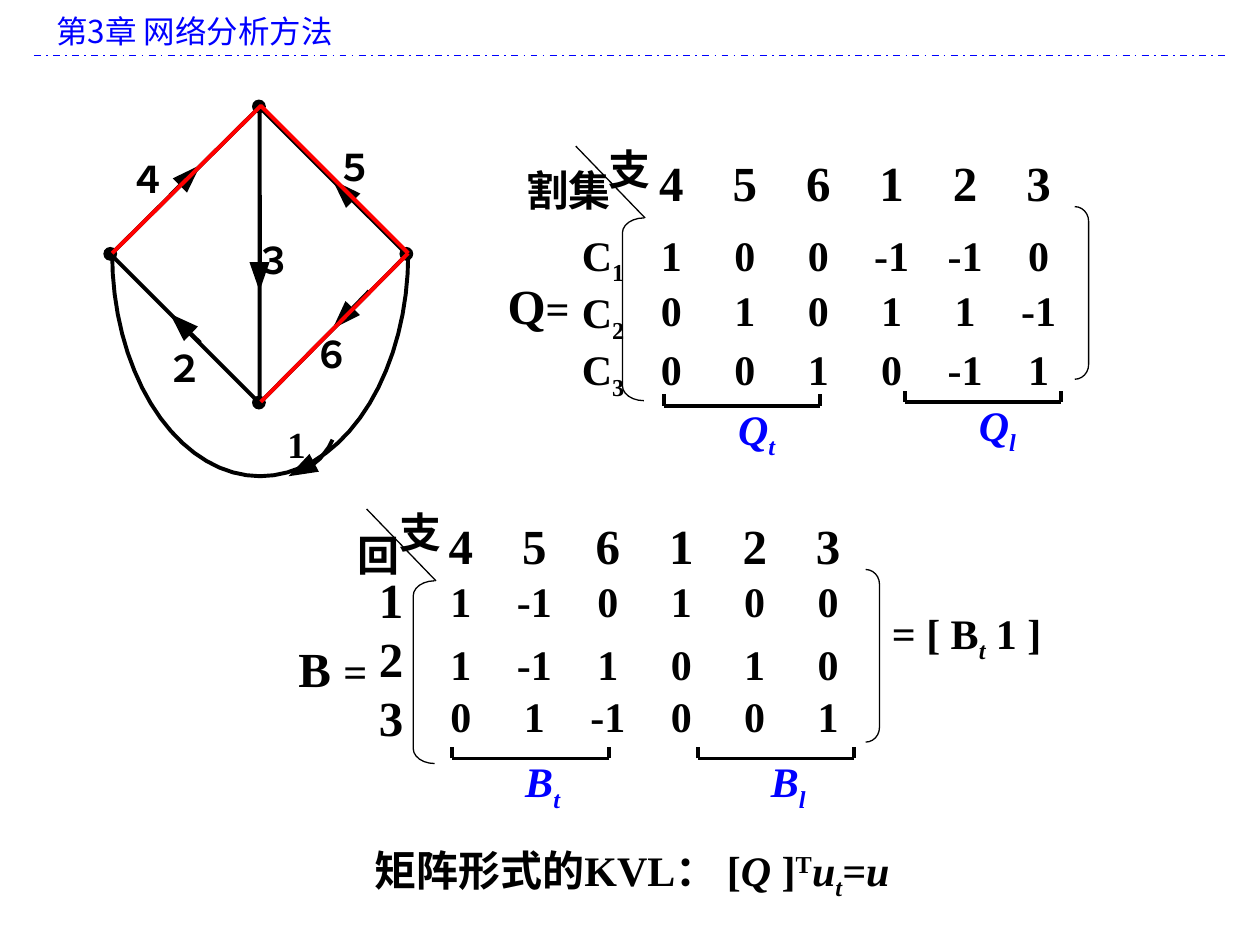
from math import cos, hypot, pi, sin

from lxml.etree import SubElement
from pptx import Presentation
from pptx.dml.color import RGBColor
from pptx.enum.dml import MSO_LINE
from pptx.enum.shapes import MSO_CONNECTOR, MSO_SHAPE
from pptx.enum.text import MSO_ANCHOR, PP_ALIGN
from pptx.oxml.ns import qn
from pptx.util import Inches, Pt

BLACK = RGBColor(0, 0, 0)
BLUE = RGBColor(0, 0, 255)
RED = RGBColor(255, 0, 0)
CJK = "Noto Sans CJK SC"
ITALIC = {"italic": True}
SUB = {"baseline": -25}

prs = Presentation()
prs.slide_width, prs.slide_height = Inches(10), Inches(7.5)
s = prs.slides.add_slide(prs.slide_layouts[6])


def add_text(x, y, w, h, *paras, size=24, font="Times New Roman", color=BLACK,
             bold=True, italic=False, wrap=False, inset=True,
             align=PP_ALIGN.LEFT, anchor=MSO_ANCHOR.TOP, tabs=()):
    """Each paragraph is a string or a list of (text, run format) pairs."""
    tf = s.shapes.add_textbox(Inches(x), Inches(y), Inches(w), Inches(h)).text_frame
    tf.word_wrap, tf.vertical_anchor = wrap, anchor
    if not inset:
        tf.margin_left = tf.margin_right = tf.margin_top = tf.margin_bottom = 0
    for i, runs in enumerate(paras):
        p = tf.add_paragraph() if i else tf.paragraphs[0]
        p.alignment = align
        if tabs:
            tab_list = SubElement(p._p.get_or_add_pPr(), qn("a:tabLst"))
            for pos in tabs:
                SubElement(tab_list, qn("a:tab"), pos=str(Inches(pos)), algn="ctr")
        for text, fmt in [(runs, {})] if isinstance(runs, str) else runs:
            r = p.add_run()
            r.text = text
            r.font.name = font
            r.font.size = Pt(fmt.get("size", size))
            r.font.bold = bold
            r.font.italic = fmt.get("italic", italic)
            r.font.color.rgb = color
            rPr = r._r.get_or_add_rPr()
            SubElement(rPr, qn("a:ea"), typeface=CJK)
            if "baseline" in fmt:
                rPr.set("baseline", str(fmt["baseline"] * 1000))


def add_line(x1, y1, x2, y2, width=2.25, color=BLACK):
    line = s.shapes.add_connector(MSO_CONNECTOR.STRAIGHT, Inches(x1), Inches(y1),
                                  Inches(x2), Inches(y2))
    line.line.color.rgb = color
    line.line.width = Pt(width)
    SubElement(line._element.spPr, qn("a:effectLst"))
    return line


# Header
add_text(0.35, 0.05, 9.37, 0.4, "第3章 网络分析方法", size=18, font=CJK,
         color=BLUE, bold=False, wrap=True)
add_line(0.27, 0.44, 9.72, 0.44, 1, BLUE).line.dash_style = MSO_LINE.DASH_DOT

# Matrices Q and B: corner of the frame, centre of the first column, row tops
BRANCHES = "4 5 6 1 2 3"
matrices = [
    (4.57, 1.16, 5.33, [1.16, 1.77, 2.21, 2.68],
     [BRANCHES, "1 0 0 -1 -1 0", "0 1 0 1 1 -1", "0 0 1 0 -1 1"]),
    (2.91, 4.04, 3.66, [4.04, 4.52, 5.02, 5.43],
     [BRANCHES, "1 -1 0 1 0 0", "1 -1 1 0 1 0", "0 1 -1 0 0 1"]),
]
COLUMN_TABS = [0.2 + 0.583 * i for i in range(6)]
for x, y, first, tops, rows in matrices:
    add_line(x, y, x + 0.55, y + 0.57, 0.75)
    add_text(x + 0.16, y - 0.07, 0.54, 0.5, "支")
    for kind, dx, dy, w, h, adj in [
        (MSO_SHAPE.LEFT_BRACKET, 0.37, 0.57, 0.17, 1.45, 0.698),
        (MSO_SHAPE.RIGHT_BRACKET, 3.96, 0.48, 0.11, 1.37, 1.06),
    ]:
        sp = s.shapes.add_shape(kind, Inches(x + dx), Inches(y + dy), Inches(w), Inches(h))
        sp.adjustments[0] = adj
        sp.shadow.inherit = False
        sp.fill.background()
        sp.line.color.rgb = BLACK
        sp.line.width = Pt(0.75)
    for i, (top, row) in enumerate(zip(tops, rows)):
        add_text(first - 0.3, top, 3.5, 0.5, "\t" + row.replace(" ", "\t"),
                 size=24 if i else 28, wrap=True, tabs=COLUMN_TABS)

add_text(4.08, 1.26, 0.87, 0.5, "割集")
add_text(2.74, 4.15, 0.54, 0.5, "回")
add_text(3.93, 2.14, 0.69, 0.57, [("Q", {"size": 28}), ("=", {})])
add_text(2.27, 5.02, 0.75, 0.57, [("B ", {"size": 28}), ("=", {})])
add_text(4.52, 1.77, 0.55, 1.3, *[[("C", {}), (n, SUB)] for n in "123"])
add_text(2.91, 4.47, 0.4, 1.9, *"123", size=28)
add_text(6.98, 4.77, 1.72, 0.5,
         [("= [ B", {}), ("t", {**SUB, **ITALIC}), (" 1 ]", {})], wrap=True)

# Braces under the submatrices
for x, y, label_x, name, sub in [
    (5.27, 3.22, 5.76, "Q", "t"), (7.18, 3.19, 7.67, "Q", "l"),
    (3.59, 6.02, 4.07, "B", "t"), (5.54, 6.02, 6.02, "B", "l"),
]:
    add_line(x, y, x + 1.24, y)
    for end in (x, x + 1.24):
        add_line(end, y, end, y - 0.09)
    add_text(label_x, y - 0.07, 0.51, 0.5, [(name, {}), (sub, SUB)],
             color=BLUE, italic=True)

# Graph
TOP, RIGHT, BOTTOM, LEFT = (2.06, 0.85), (3.23, 2.02), (2.06, 3.2), (0.88, 2.02)
for x, y in (TOP, RIGHT, BOTTOM, LEFT):
    sp = s.shapes.add_shape(MSO_SHAPE.OVAL, Inches(x - 0.06), Inches(y - 0.06),
                            Inches(0.11), Inches(0.11))
    sp.shadow.inherit = False
    sp.fill.solid()
    sp.fill.fore_color.rgb = BLACK
    sp.line.fill.background()

arc = [(2.065 - 1.175 * cos(pi * i / 34), 2.01 + 1.77 * sin(pi * i / 34))
       for i in range(35)]
# Outline points, closed, filled, colour
outlines = [
    ([BOTTOM, LEFT, TOP, BOTTOM], True, False, BLACK),
    ([TOP, RIGHT, BOTTOM], False, False, BLACK),
    (arc, False, False, BLACK),
    ([(2.64, 3.49), (2.61, 3.55), (2.58, 3.59), (2.54, 3.64), (2.48, 3.69)],
     False, False, BLACK),
]
# Arrowheads: a point behind the tip, then the tip
for x, y, tip_x, tip_y in [
    (2.5, 3.67, 2.29, 3.78), (2.06, 1.55, 2.06, 2.31), (1.35, 1.55, 1.59, 1.31),
    (1.59, 2.72, 1.35, 2.49), (2.93, 1.72, 2.64, 1.43), (2.93, 2.31, 2.64, 2.61),
]:
    length = hypot(tip_x - x, tip_y - y)
    ux, uy = (tip_x - x) / length, (tip_y - y) / length
    base_x, base_y = tip_x - 0.23 * ux, tip_y - 0.23 * uy
    add_line(x, y, base_x, base_y)
    head = [(tip_x, tip_y)] + [(base_x - k * uy, base_y + k * ux) for k in (0.08, -0.08)]
    outlines.append((head, True, True, BLACK))
outlines.append(([(3.24, 2.01), (2.07, 0.84), (0.89, 2.01)], False, False, RED))

for points, closed, filled, color in outlines:
    start, *rest = [(Inches(x), Inches(y)) for x, y in points]
    builder = s.shapes.build_freeform(*start)
    builder.add_line_segments(rest, close=closed)
    sp = builder.convert_to_shape()
    sp.shadow.inherit = False
    if filled:
        sp.fill.solid()
        sp.fill.fore_color.rgb = color
        sp.line.fill.background()
    else:
        sp.fill.background()
        sp.line.color.rgb = color
        sp.line.width = Pt(2.25)
add_line(3.24, 2.01, 2.07, 3.19, color=RED)

for x, y, w, label in [
    (2.28, 3.35, 0.15, "1"), (1.32, 2.74, 0.29, "２"), (2.03, 1.89, 0.29, "３"),
    (2.49, 2.63, 0.29, "６"), (2.67, 1.15, 0.29, "５"), (1.03, 1.24, 0.29, "４"),
]:
    add_text(x, y, w, 0.35, label, size=21, inset=False)

# Matrix form of KVL
add_text(0.61, 6.68, 8.81, 0.5,
         [("矩阵形式的KVL： [", {}), ("Q", ITALIC), (" ]", {}), ("T", {"baseline": 30}),
          ("u", ITALIC), ("t", {**SUB, **ITALIC}), ("=u", ITALIC)],
         wrap=True, align=PP_ALIGN.CENTER, anchor=MSO_ANCHOR.MIDDLE)

prs.save("out.pptx")
